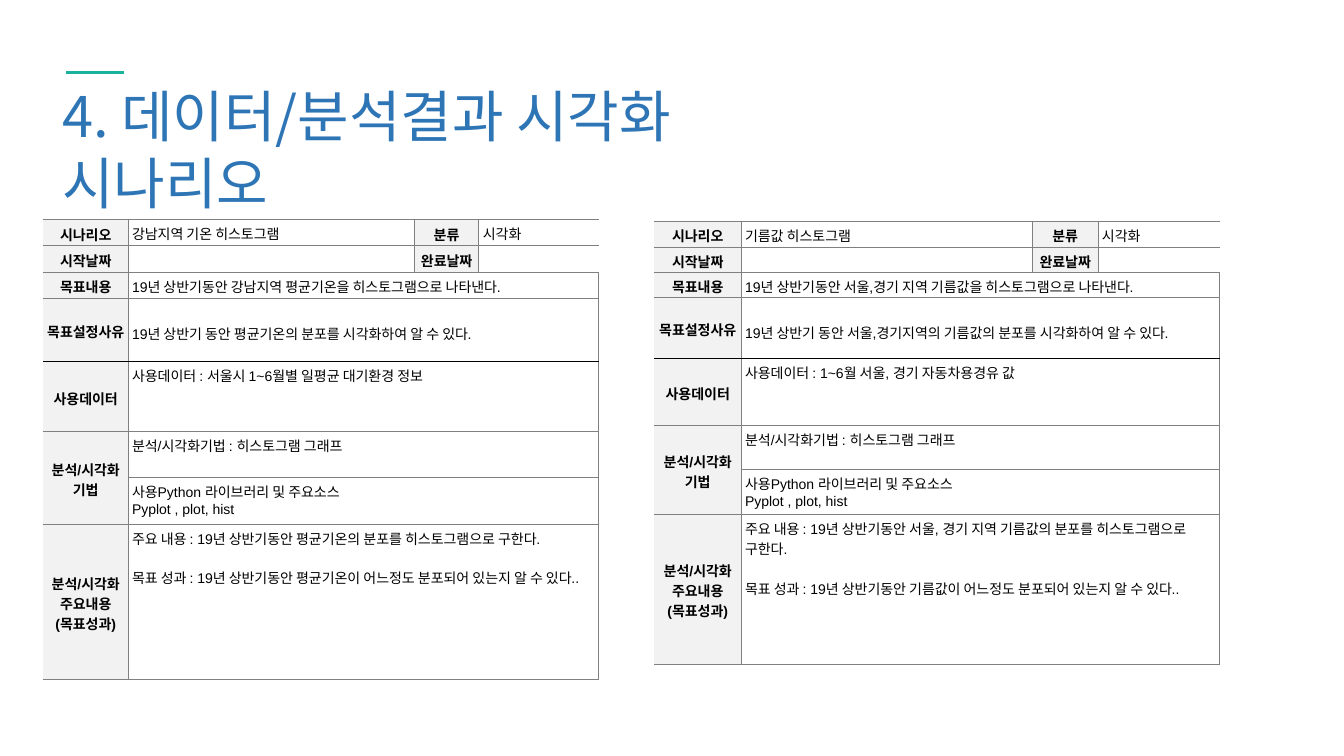
from lxml import etree
from pptx import Presentation
from pptx.dml.color import RGBColor
from pptx.enum import shapes, text
from pptx.oxml.ns import qn
from pptx.util import Inches, Pt

TITLE = "4. 데이터/분석결과 시각화\v시나리오"
LABELS = ["시나리오", "시작날짜", "목표내용", "목표설정사유", "사용데이터",
          "분석/시각화 기법", "", "분석/시각화 주요내용\n(목표성과)"]
SIDE_LABELS = ["분류", "완료날짜"]
CATEGORY = "시각화"
METHOD = "분석/시각화기법 : 히스토그램 그래프"
LIBRARY = "사용Python 라이브러리 및 주요소스\nPyplot , plot, hist"

SCENARIOS = [
    {
        "place": (0.43, 2.18),
        "columns": [0.84, 2.84, 0.64, 1.19],
        "rows": [0.26, 0.26, 0.26, 0.63, 0.69, 0.46, 0.46, 1.54],
        "contents": [
            "강남지역 기온 히스토그램",
            "",
            "19년 상반기동안 강남지역 평균기온을 히스토그램으로 나타낸다.",
            "19년 상반기 동안 평균기온의 분포를 시각화하여 알 수 있다.",
            "사용데이터 : 서울시 1~6월별 일평균 대기환경 정보",
            METHOD,
            LIBRARY,
            "주요 내용 : 19년 상반기동안 평균기온의 분포를 히스토그램으로 구한다.\n"
            "목표 성과 : 19년 상반기동안 평균기온이 어느정도 분포되어 있는지 알 수 있다..",
        ],
    },
    {
        "place": (6.49, 2.2),
        "columns": [0.86, 2.89, 0.65, 1.21],
        "rows": [0.25, 0.25, 0.25, 0.61, 0.66, 0.44, 0.44, 1.49],
        "contents": [
            "기름값 히스토그램",
            "",
            "19년 상반기동안 서울,경기 지역 기름값을 히스토그램으로 나타낸다.",
            "19년 상반기 동안 서울,경기지역의 기름값의 분포를 시각화하여 알 수 있다.",
            "사용데이터 : 1~6월 서울, 경기 자동차용경유 값",
            METHOD,
            LIBRARY,
            "주요 내용 : 19년 상반기동안 서울, 경기 지역 기름값의 분포를 히스토그램으로 구한다.\n"
            "목표 성과 : 19년 상반기동안 기름값이 어느정도 분포되어 있는지 알 수 있다..",
        ],
    },
]
REASON_ROW, DATA_ROW, METHOD_ROW, RESULT_ROW = 3, 4, 5, 7

THEME = {
    "title": "2E75B6", "accent": "1AB29D", "ink": "000000",
    "label": "F2F2F2", "rule": "808080",
    "latin": "Arial", "korean": "Noto Sans CJK KR",
    "title_size": 40, "body_size": 10,
    "rule_width": 0.75, "heavy_width": 1,
    "no_table_style": "{2D5ABB26-0587-4C30-8999-92F81FD0307C}",
}


def style_font(font, latin, size, colour, bold=False):
    font.name = latin
    font.size = Pt(size)
    font.bold = bold
    font.color.rgb = RGBColor.from_string(colour)


def set_korean_font(span):
    east_asian = etree.SubElement(span._r.get_or_add_rPr(), qn("a:ea"))
    east_asian.set("typeface", THEME["korean"])


def draw_border(cell, side, colour, width):
    line = etree.SubElement(cell._tc.get_or_add_tcPr(), qn(f"a:ln{side}"))
    line.set("w", str(Pt(width)))
    if colour is None:
        etree.SubElement(line, qn("a:noFill"))
    else:
        fill = etree.SubElement(line, qn("a:solidFill"))
        etree.SubElement(fill, qn("a:srgbClr")).set("val", colour)


def style_cell(cell, row, column, is_label):
    """Sets the margins, rules and fill of one cell."""
    cell.margin_left = cell.margin_right = Inches(0.03 if is_label else 0.04)
    cell.margin_top, cell.margin_bottom = Inches(0.04), Inches(0.01)
    rule = (THEME["rule"], THEME["rule_width"])
    heavy = (THEME["ink"], THEME["heavy_width"])
    hidden = (None, 0)
    draw_border(cell, "L", *(hidden if column == 0 else rule))
    draw_border(cell, "R", *(hidden if column == 3 else rule))
    draw_border(cell, "T", *(heavy if row == DATA_ROW else rule))
    draw_border(cell, "B", *(heavy if row == REASON_ROW else rule))
    if is_label:
        cell.fill.solid()
        cell.fill.fore_color.rgb = RGBColor.from_string(THEME["label"])
    else:
        cell.fill.background()


def write_cell(cell, words, is_label):
    cell.text_frame.text = words
    if is_label:
        cell.vertical_anchor = text.MSO_ANCHOR.MIDDLE
    for para in cell.text_frame.paragraphs:
        if is_label:
            para.alignment = text.PP_ALIGN.CENTER
        if not para.runs:
            para.font.size = Pt(THEME["body_size"])
        for span in para.runs:
            style_font(span.font, THEME["latin"], THEME["body_size"], THEME["ink"], is_label)
            set_korean_font(span)


def add_scenario(page, scenario):
    columns, rows, contents = scenario["columns"], scenario["rows"], scenario["contents"]
    left, top = scenario["place"]
    frame = page.shapes.add_table(len(rows), len(columns), Inches(left), Inches(top),
                                  Inches(sum(columns)), Inches(sum(rows)))
    table = frame.table
    table.first_row = table.horz_banding = False
    table._tbl.tblPr.find(qn("a:tableStyleId")).text = THEME["no_table_style"]
    for column, width in zip(table.columns, columns):
        column.width = Inches(width)
    for row, height in zip(table.rows, rows):
        row.height = Inches(height)

    for row, (label, content) in enumerate(zip(LABELS, contents)):
        words = [label, content, "", ""]
        if row < len(SIDE_LABELS):
            words[2:] = [SIDE_LABELS[row], CATEGORY if row == 0 else ""]
        else:
            table.cell(row, 1).merge(table.cell(row, 3))
        for column, cell_words in enumerate(words):
            cell = table.cell(row, column)
            is_label = column == 0 or (column == 2 and row < len(SIDE_LABELS))
            style_cell(cell, row, column, is_label)
            write_cell(cell, cell_words, is_label)
    table.cell(METHOD_ROW, 0).merge(table.cell(METHOD_ROW + 1, 0))
    table.cell(REASON_ROW, 1).margin_top = Inches(0.25)
    table.cell(RESULT_ROW, 1).text_frame.paragraphs[1].space_before = Pt(14)


def add_title(page):
    box = page.shapes.add_textbox(Inches(0.52), Inches(0.76), Inches(8.78), Inches(0.77))
    box.text_frame.word_wrap = True
    box.text_frame.text = TITLE
    for span in box.text_frame.paragraphs[0].runs:
        style_font(span.font, THEME["korean"], THEME["title_size"], THEME["title"])
        set_korean_font(span)

    accent = page.shapes.add_connector(shapes.MSO_CONNECTOR.STRAIGHT, Inches(1.23),
                                       Inches(0.72), Inches(0.65), Inches(0.72))
    accent.line.color.rgb = RGBColor.from_string(THEME["accent"])
    accent.line.width = Pt(2)
    etree.SubElement(accent._element.spPr, qn("a:effectLst"))


def main():
    deck = Presentation()
    deck.slide_width, deck.slide_height = Inches(13.33), Inches(7.5)
    page = deck.slides.add_slide(deck.slide_layouts[6])
    add_title(page)
    for scenario in SCENARIOS:
        add_scenario(page, scenario)
    deck.save("out.pptx")


if __name__ == "__main__":
    main()
